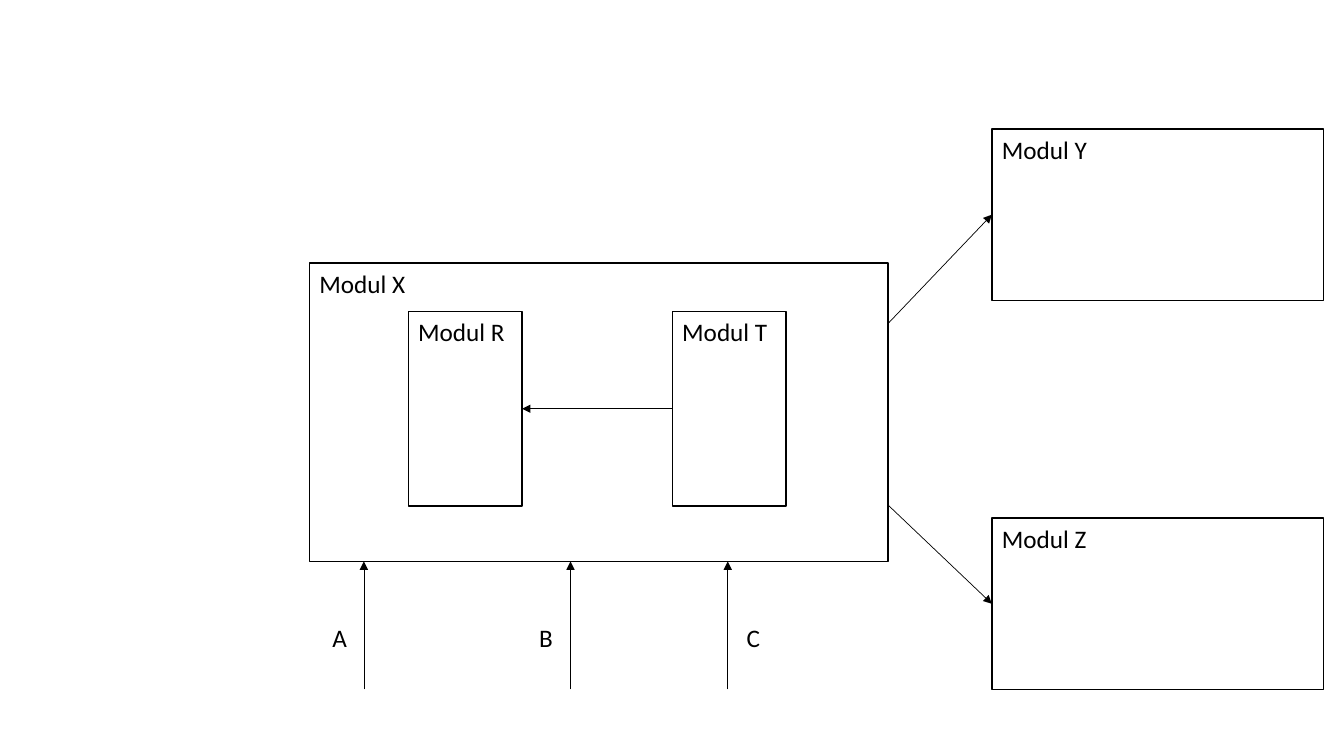
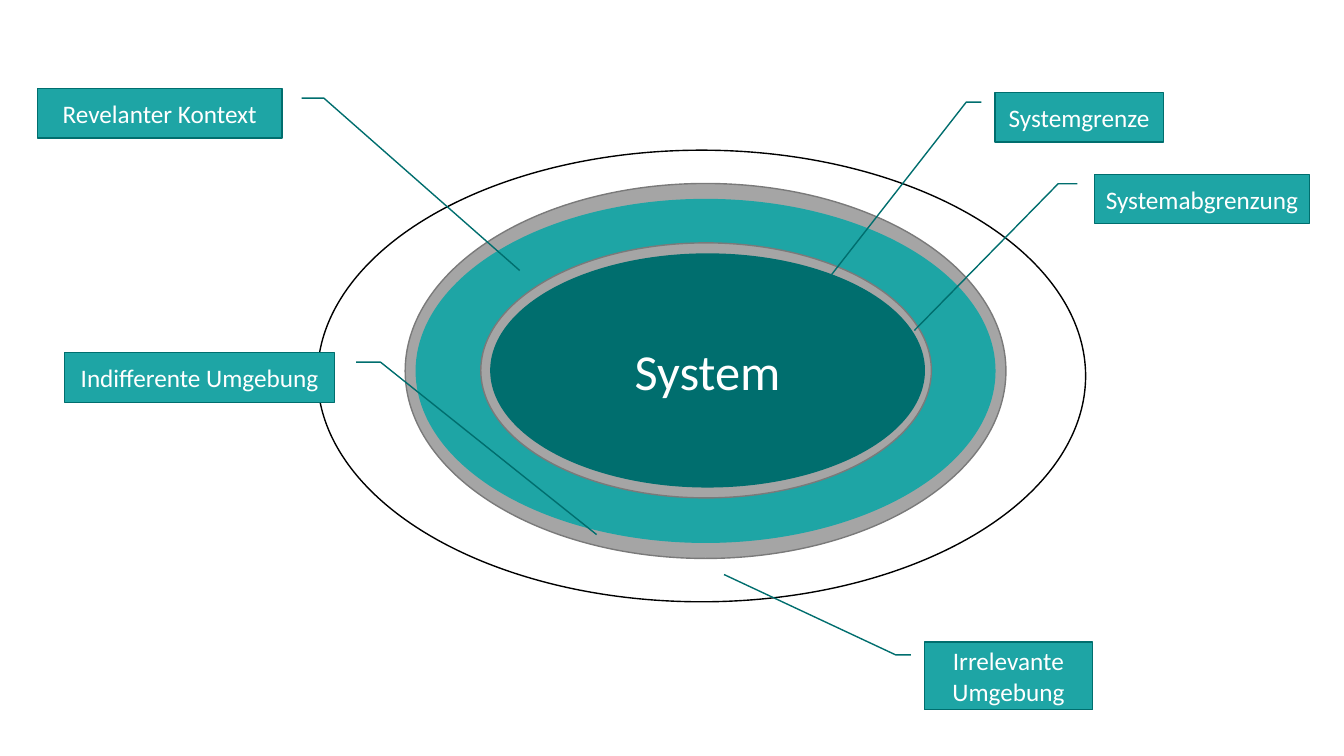
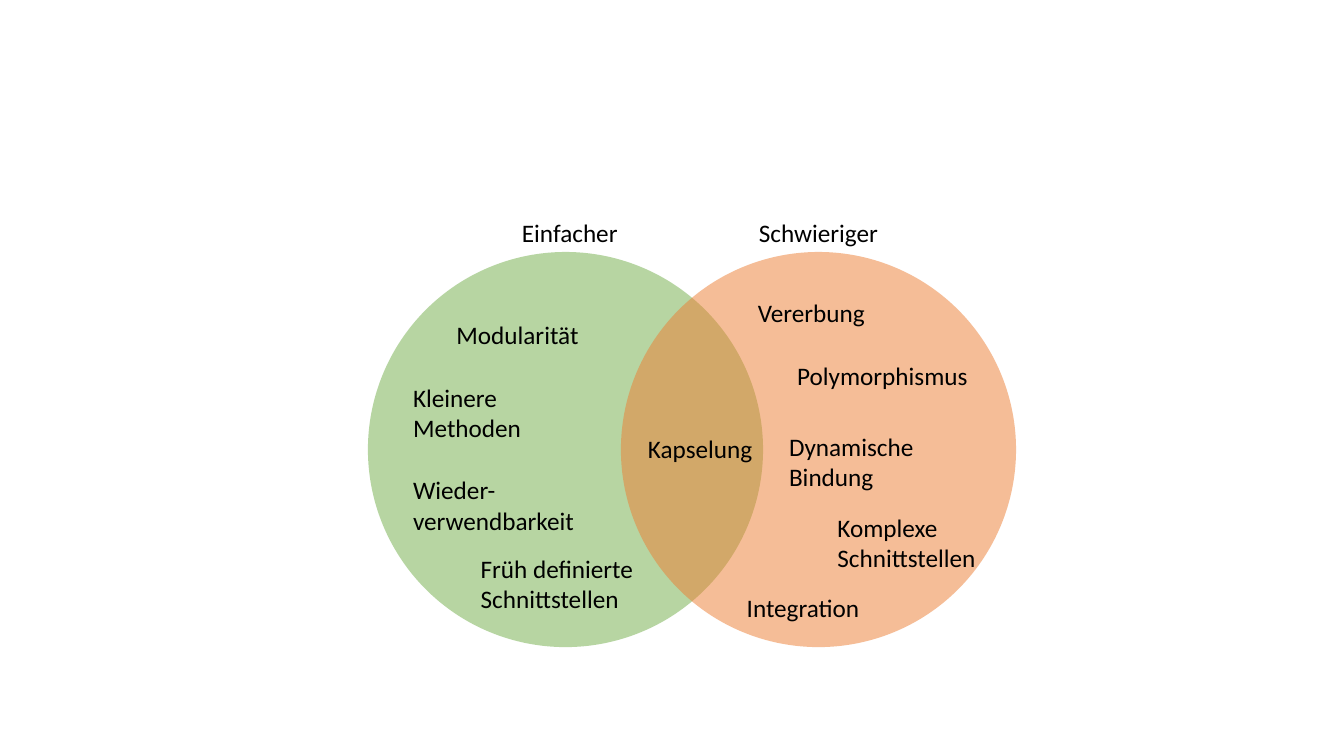
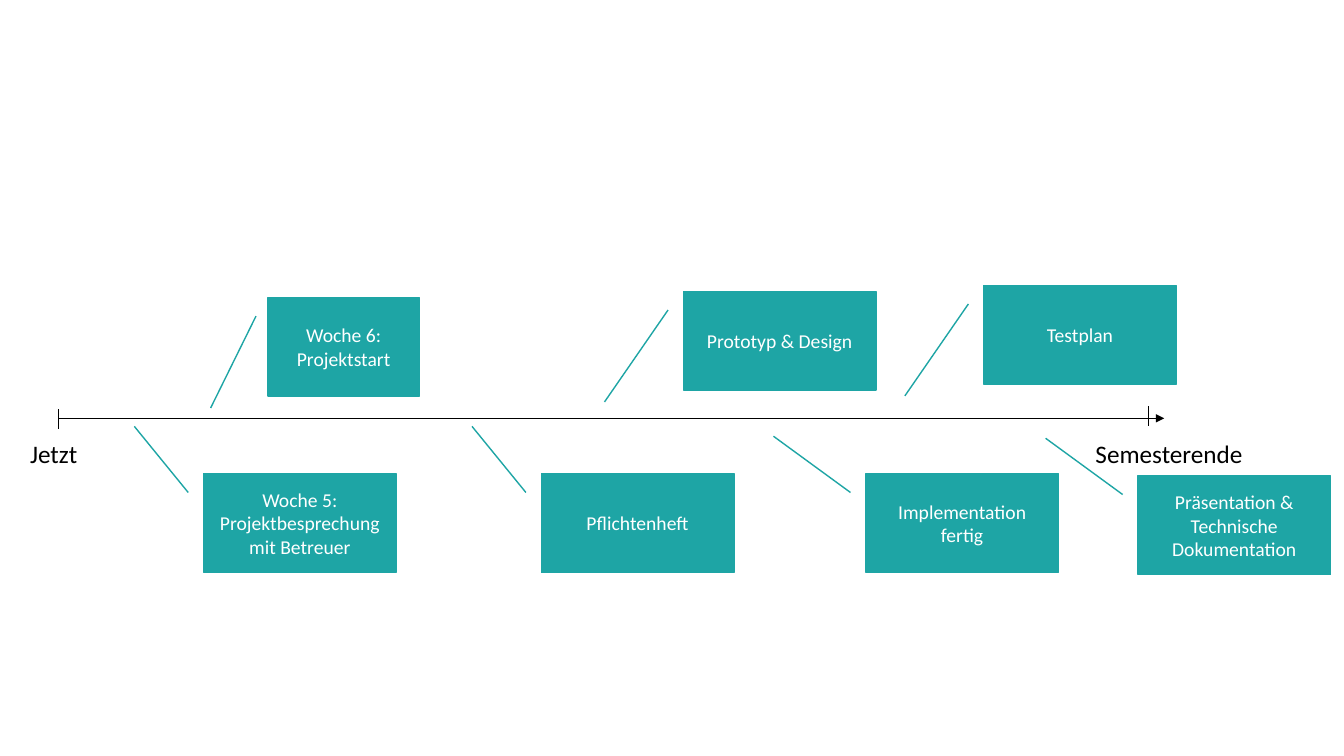
from pptx import Presentation
from pptx.dml.color import RGBColor
from pptx.enum.shapes import MSO_CONNECTOR, MSO_SHAPE as Shape
from pptx.enum.text import MSO_ANCHOR, MSO_AUTO_SIZE, PP_ALIGN
from pptx.oxml.ns import qn
from pptx.util import Emu, Pt
from lxml.etree import SubElement

PX = 9144  # EMU in one px: 100 px to the inch

FONT = "Calibri"
BLACK, WHITE = "000000", "FFFFFF"
TEAL, DARK_TEAL = "1EA5A5", "006E6E"
GREY, DARK_GREY = "A5A5A5", "7A7A7A"
GREEN, ORANGE = "70AD47", "ED7D31"

LEFT_SIDE, RIGHT_SIDE = 1, 3
TEXT_HEIGHT = {1: 40, 2: 71}  # by number of lines

# Modules: name -> left, top, width, height
MODULES = {
    "X": (307, 261, 574, 296),
    "Y": (984, 128, 329, 170),
    "Z": (984, 514, 329, 170),
    "R": (405, 309, 113, 193),
    "T": (667, 309, 113, 193),
}
INPUTS = [("A", 361, 320), ("B", 566, 525), ("C", 722, 731)]  # name, arrow x, label x
INPUT_START, INPUT_LABEL_TOP = 684, 612
OUTPUTS = [("Y", 321), ("Z", 501)]  # target, y where the arrow leaves X

# System context: box, fill, line, text
RINGS = [
    ((315, 149, 762, 448), WHITE, BLACK, ""),
    ((402, 182, 596, 372), GREY, DARK_GREY, ""),
    ((413, 198, 574, 340), TEAL, TEAL, ""),
    ((477, 241, 447, 253), GREY, DARK_GREY, ""),
    ((487, 252, 430, 231), DARK_TEAL, DARK_TEAL, "System"),
]
# text, box, pointer end as (y, x) shares of the box, mirrored
CONTEXT_LABELS = [
    ("Systemgrenze", (987, 92, 167, 49), (3.68, -0.97), False),
    ("Systemabgrenzung", (1086, 173, 213, 49), (3.16, -0.84), False),
    ("Revelanter Kontext", (37, 88, 243, 49), (3.68, -0.97), True),
    ("Indifferente Umgebung", (64, 350, 268, 49), (3.68, -0.97), True),
    ("Irrelevante Umgebung", (917, 637, 167, 67), (-1, -1.19), False),
]

# Venn diagram: circle left and colour; text, left, top, width, lines
CIRCLES = [(365, GREEN), (616, ORANGE)]
CIRCLE_TOP, CIRCLE_SIZE = 250, 392
VENN_TEXTS = [
    ("Einfacher", 508, 211, 137, 1),
    ("Schwieriger", 743, 211, 150, 1),
    ("Modularität", 443, 312, 150, 1),
    ("Kleinere Methoden", 400, 374, 150, 2),
    ("Wieder-verwendbarkeit", 400, 466, 187, 2),
    ("Früh definierte Schnittstellen", 467, 544, 187, 2),
    ("Kapselung", 633, 425, 150, 1),
    ("Vererbung", 742, 290, 127, 1),
    ("Polymorphismus", 781, 353, 193, 1),
    ("Dynamische Bindung", 773, 423, 193, 2),
    ("Komplexe Schnittstellen", 821, 503, 193, 2),
    ("Integration", 731, 583, 193, 1),
]

# Timeline
AXIS_Y, AXIS_START, AXIS_END = 415, 58, 1155
TICKS = [(58, 406), (1139, 403)]  # x, top
TICK_HEIGHT = 20
AXIS_TEXTS = [("Jetzt", 20, 430, 140, 1), ("Semesterende", 1077, 430, 167, 1)]
STEP_HEIGHT = 98
# text, left, top, width, pointer end
STEPS = [
    ("Woche 6:\nProjektstart", 266, 295, 150, (1.12, -0.38)),
    ("Woche 5:\nProjektbesprechung mit Betreuer", 202, 470, 191, (-0.48, -0.36)),
    ("Pflichtenheft", 537, 470, 191, (-0.48, -0.36)),
    ("Prototyp & Design", 678, 289, 191, (1.12, -0.41)),
    ("Implementation fertig", 859, 470, 191, (-0.38, -0.48)),
    ("Testplan", 976, 283, 191, (1.12, -0.41)),
    ("Präsentation & Technische Dokumentation", 1129, 472, 191, (-0.38, -0.48)),
]

CENTRED = {"align": PP_ALIGN.CENTER, "anchor": MSO_ANCHOR.MIDDLE, "color": WHITE}


def px(*lengths):
    return [Emu(round(length * PX)) for length in lengths]


def rgb(color):
    return RGBColor.from_string(color)


def write(box, text, size=18, color=BLACK, align=PP_ALIGN.LEFT,
          anchor=MSO_ANCHOR.TOP, autofit=MSO_AUTO_SIZE.NONE):
    frame = box.text_frame
    frame_format = {"word_wrap": True, "auto_size": autofit, "vertical_anchor": anchor}
    for name, value in frame_format.items():
        setattr(frame, name, value)
    frame.text = text
    for para in frame.paragraphs:
        para.alignment = align
        for span in para.runs:
            for name, value in {"name": FONT, "size": Pt(size)}.items():
                setattr(span.font, name, value)
            span.font.color.rgb = rgb(color)


def add_box(page, kind, place, fill, line=None, alpha=None):
    """Add a flat preset shape; alpha is the opacity in percent."""
    box = page.shapes.add_shape(kind, *px(*place))
    box.shadow.inherit = False
    box.fill.solid()
    box.fill.fore_color.rgb = rgb(fill)
    if alpha is not None:
        tint = box.fill._xPr.find(qn("a:solidFill"))[0]
        SubElement(tint, qn("a:alpha")).set("val", str(alpha * 1000))
    if line:
        box.line.color.rgb = rgb(line)
        box.line.width = Pt(1)
    else:
        box.line.fill.background()
    return box


def add_callout(page, kind, place, line, pointer, text, size):
    box = add_box(page, kind, place, TEAL, line)
    start = [0.19, -0.08]
    bend = [0.19, -0.17] if kind == Shape.LINE_CALLOUT_2 else []
    for index, value in enumerate([*start, *bend, *pointer]):
        box.adjustments[index] = value
    write(box, text, size, **CENTRED)
    return box


def add_text(page, text, left, top, width, lines=1):
    box = page.shapes.add_textbox(*px(left, top, width, TEXT_HEIGHT[lines]))
    write(box, text, autofit=MSO_AUTO_SIZE.SHAPE_TO_FIT_TEXT)


def add_line(page, start, end, arrow=True):
    line = page.shapes.add_connector(MSO_CONNECTOR.STRAIGHT, *px(*start, *end))
    line.line.color.rgb = rgb(BLACK)
    line.line.width = Pt(0.5)
    if arrow:
        SubElement(line.line._get_or_add_ln(), qn("a:tailEnd")).set("type", "triangle")
    SubElement(line._element.spPr, qn("a:effectLst"))
    return line


def build_modules(page):
    boxes = {}
    for name, place in MODULES.items():
        boxes[name] = add_box(page, Shape.RECTANGLE, place, WHITE, BLACK)
        write(boxes[name], f"Modul {name}")
    left, top, width, height = MODULES["X"]
    for name, x, label_left in INPUTS:
        add_line(page, (x, INPUT_START), (x, top + height))
        add_text(page, name, label_left, INPUT_LABEL_TOP, 37)
    for name, y in OUTPUTS:
        arrow = add_line(page, (left + width, y), MODULES[name][:2])
        arrow.end_connect(boxes[name], LEFT_SIDE)
    arrow = add_line(page, MODULES["T"][:2], MODULES["R"][:2])
    arrow.begin_connect(boxes["T"], LEFT_SIDE)
    arrow.end_connect(boxes["R"], RIGHT_SIDE)


def build_context(page):
    for place, fill, line, text in RINGS:
        ring = add_box(page, Shape.OVAL, place, fill, line)
        if text:
            write(ring, text, 36, **CENTRED)
    for text, place, pointer, mirrored in CONTEXT_LABELS:
        label = add_callout(page, Shape.LINE_CALLOUT_2, place, DARK_TEAL, pointer, text, 18)
        if mirrored:
            label._element.spPr.find(qn("a:xfrm")).set("flipH", "1")


def build_venn(page):
    for left, color in CIRCLES:
        place = (left, CIRCLE_TOP, CIRCLE_SIZE, CIRCLE_SIZE)
        add_box(page, Shape.OVAL, place, color, alpha=50)
    for label in VENN_TEXTS:
        add_text(page, *label)


def build_timeline(page):
    add_line(page, (AXIS_START, AXIS_Y), (AXIS_END, AXIS_Y))
    for x, top in TICKS:
        add_line(page, (x, top), (x, top + TICK_HEIGHT), arrow=False)
    for label in AXIS_TEXTS:
        add_text(page, *label)
    for text, left, top, width, pointer in STEPS:
        place = (left, top, width, STEP_HEIGHT)
        add_callout(page, Shape.LINE_CALLOUT_1, place, TEAL, pointer, text, 14)


def main():
    deck = Presentation()
    deck.slide_width, deck.slide_height = px(1333.33, 750)
    for build in (build_modules, build_context, build_venn, build_timeline):
        build(deck.slides.add_slide(deck.slide_layouts[6]))
    deck.save("out.pptx")


if __name__ == "__main__":
    main()
